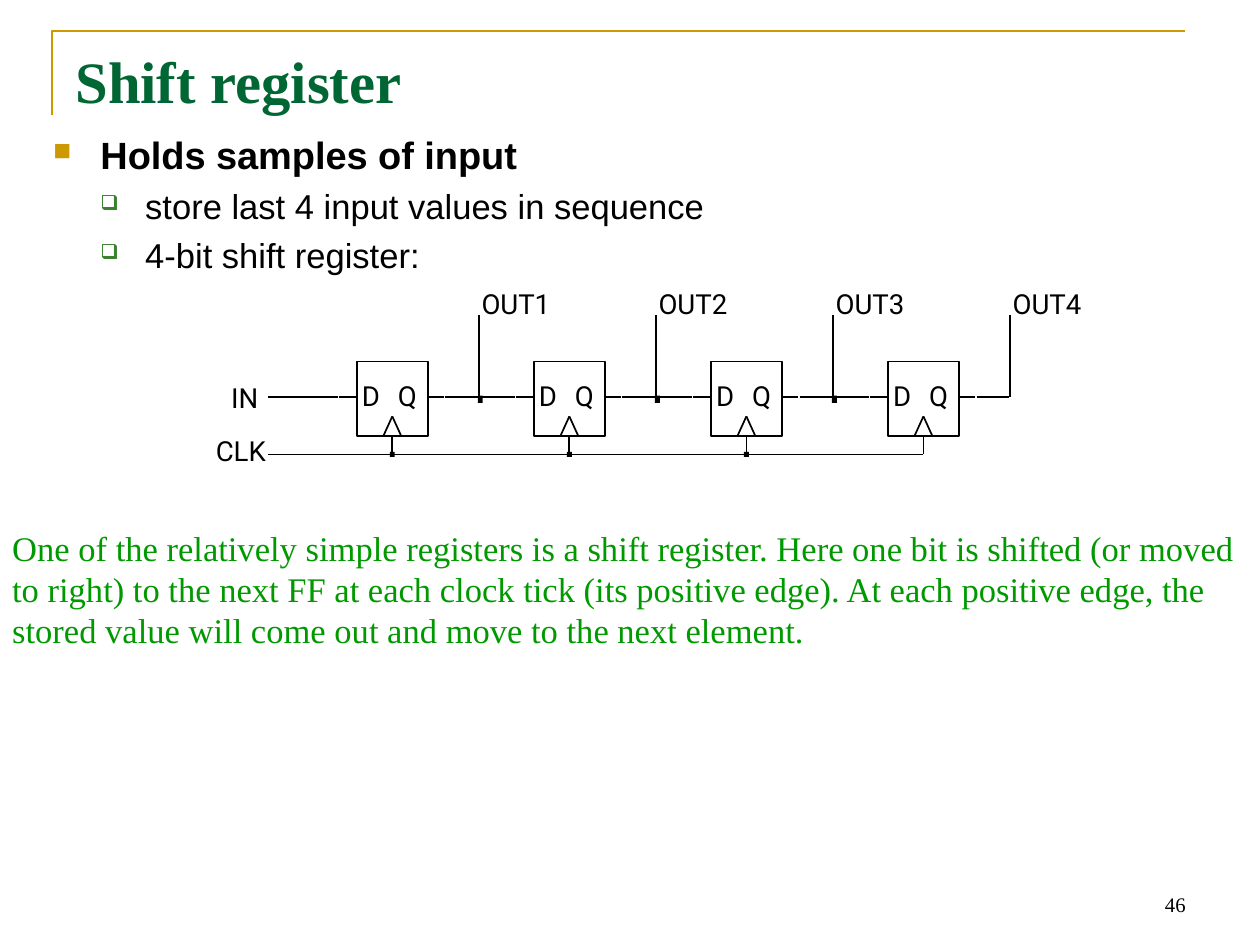
from lxml import etree
from pptx import Presentation
from pptx.dml.color import RGBColor
from pptx.enum.shapes import MSO_CONNECTOR, MSO_SHAPE
from pptx.enum.text import MSO_ANCHOR, PP_ALIGN
from pptx.oxml.ns import qn
from pptx.util import Inches, Pt

STRAIGHT = MSO_CONNECTOR.STRAIGHT
RECT = MSO_SHAPE.RECTANGLE
TOP, BOTTOM = MSO_ANCHOR.TOP, MSO_ANCHOR.BOTTOM
LEFT, RIGHT = PP_ALIGN.LEFT, PP_ALIGN.RIGHT
WIDTH, HEIGHT = 10.14, 7.6
SERIF, SANS, LABEL = "Times New Roman", "Arial", "Roboto"
BLACK, WHITE, GOLD = "000000", "FFFFFF", "CC9900"
STAGES = 4
STAGE_COLS = 10


def color(value):
    return RGBColor.from_string(value)


def add_run(p, text, font, size, fill, bold=False):
    r = p.add_run()
    r.text = text
    r.font.name = font
    r.font.size = Pt(size)
    r.font.bold = bold
    r.font.color.rgb = color(fill)


def add_text_box(s, box, anchor=TOP, wrap=True, inset=(0.1, 0.05)):
    tf = s.shapes.add_textbox(*map(Inches, box)).text_frame
    tf.word_wrap = wrap
    tf.vertical_anchor = anchor
    tf.margin_left = tf.margin_right = Inches(inset[0])
    tf.margin_top = tf.margin_bottom = Inches(inset[1])
    return tf


def add_rect(s, box, fill, line=None):
    sp = s.shapes.add_shape(RECT, *map(Inches, box))
    sp.shadow.inherit = False
    sp.fill.solid()
    sp.fill.fore_color.rgb = color(fill)
    if line:
        sp.line.color.rgb = color(line)
        sp.line.width = Pt(1)
    else:
        sp.line.fill.background()
    return sp


def add_wire(s, x1, y1, x2, y2):
    wire = s.shapes.add_connector(STRAIGHT, *map(Inches, (x1, y1, x2, y2)))
    wire.line.color.rgb = color(BLACK)
    wire.line.width = Pt(1)
    etree.SubElement(wire._element.spPr, qn("a:effectLst"))


def add_label(s, text, x, y, width, align=LEFT):
    tf = add_text_box(s, (x, y, width, 0.38), wrap=False, inset=(0.02, 0.03))
    p = tf.paragraphs[0]
    p.alignment = align
    p.line_spacing = Pt(17)
    add_run(p, text, LABEL, 16, BLACK)


def add_bullet(p, mark, fill, percent, margin, indent):
    pPr = p._p.get_or_add_pPr()
    pPr.set("marL", str(Inches(margin)))
    pPr.set("indent", str(Inches(-indent)))
    clr = etree.SubElement(pPr, qn("a:buClr"))
    etree.SubElement(clr, qn("a:srgbClr"), val=fill)
    etree.SubElement(pPr, qn("a:buSzPct"), val=str(percent * 1000))
    etree.SubElement(pPr, qn("a:buChar"), char=mark)


def draw_frame(s, box):
    left, top, width, height = map(Inches, box)
    fb = s.shapes.build_freeform(left, top + height)
    fb.add_line_segments([(left, top), (left + width, top)], close=False)
    sp = fb.convert_to_shape()
    sp.shadow.inherit = False
    sp.fill.background()
    sp.line.color.rgb = color(GOLD)
    sp.line.width = Pt(1.5)


def draw_title(s, box):
    p = add_text_box(s, box).paragraphs[0]
    add_run(p, "Shift register", SERIF, 34, "006633", True)


def draw_bullets(s, box):
    tf = add_text_box(s, box)
    p = tf.paragraphs[0]
    add_bullet(p, "■", GOLD, 65, 0.38, 0.38)
    add_run(p, "Holds samples of input", SANS, 22, BLACK, True)
    for text in ("store last 4 input values in sequence", "4-bit shift register:"):
        p = tf.add_paragraph()
        p.level = 1
        p.space_before = Pt(4.6)
        add_bullet(p, "❑", "3B812F", 60, 0.74, 0.36)
        add_run(p, text, SANS, 20, BLACK)


def draw_stage(s, number, x, y, u):
    last = number == STAGES
    wire_y, clock_y, bottom = y + 2 * u, y + 5.25 * u, y + 4.2 * u
    tip, tap = x + 2 * u, x + 6.9 * u
    add_rect(s, (x, y, 4 * u, 4.2 * u), WHITE, BLACK)
    for side in (-0.5, 0.5):
        add_wire(s, tip + side * u, bottom, tip, y + 3.1 * u)
    add_label(s, "D", x + 0.02, y + u, 0.28)
    add_label(s, "Q", x + 0.31, y + u, 0.28)
    columns = (4, 5, 6.9) if last else (4, 5, 6.9, 9, 10)
    for start, end in zip(columns, columns[1:]):
        add_wire(s, x + start * u, wire_y, x + end * u - 0.01, wire_y)
    add_wire(s, tap, y - 2.6 * u, tap, wire_y)
    add_label(s, f"OUT{number}", tap, y - 4.2 * u, 0.8)
    add_wire(s, tip, bottom, tip, clock_y)
    if not last:
        add_rect(s, (tap - 0.01, wire_y - 0.01, 0.04, 0.06), BLACK)
        add_rect(s, (tip - 0.02, clock_y - 0.02, 0.04, 0.04), BLACK)


def draw_circuit(s, box):
    left, top, width, height = box
    u = width / 41.9
    first, y = left + 5 * u, top + 2.6 * u
    wire_y, clock_y = y + 2 * u, top + height
    for number in range(1, STAGES + 1):
        draw_stage(s, number, first + (number - 1) * STAGE_COLS * u, y, u)
    for start, end in ((0, 4), (4, 5)):
        add_wire(s, left + start * u, wire_y, left + end * u - 0.01, wire_y)
    add_wire(s, left, clock_y, first + (2 + (STAGES - 1) * STAGE_COLS) * u, clock_y)
    add_label(s, "IN", left - 4.5 * u, wire_y - 0.13, 0.58, RIGHT)
    add_label(s, "CLK", left - 4 * u, clock_y - 0.17, 4 * u, RIGHT)


def draw_explanation(s, box):
    tf = add_rect(s, box, WHITE).text_frame
    tf.word_wrap = True
    tf.vertical_anchor = TOP
    p = tf.paragraphs[0]
    p.alignment = LEFT
    add_run(
        p,
        "One of the relatively simple registers is a shift register. "
        "Here one bit is shifted (or moved to right) to the next FF at each "
        "clock tick (its positive edge). At each positive edge, the stored "
        "value will come out and move to the next element.",
        SERIF, 20, "009900",
    )


def draw_page_number(s, box):
    p = add_text_box(s, box, BOTTOM).paragraphs[0]
    p.alignment = RIGHT
    add_run(p, "46", SERIF, 12, BLACK)


def main():
    prs = Presentation()
    prs.slide_width, prs.slide_height = Inches(WIDTH), Inches(HEIGHT)
    s = prs.slides.add_slide(prs.slide_layouts[6])
    draw_frame(s, (0.42, 0.25, 9.12, 0.68))
    draw_page_number(s, (7.27, 6.92, 2.37, 0.51))
    draw_circuit(s, (2.16, 2.54, 5.97, 1.12))
    draw_title(s, (0.51, 0.31, 9.12, 1.26))
    draw_bullets(s, (0.33, 1.01, 9.12, 1.53))
    draw_explanation(s, (0, 4.19, WIDTH, 1.1))
    prs.save("out.pptx")


if __name__ == "__main__":
    main()
